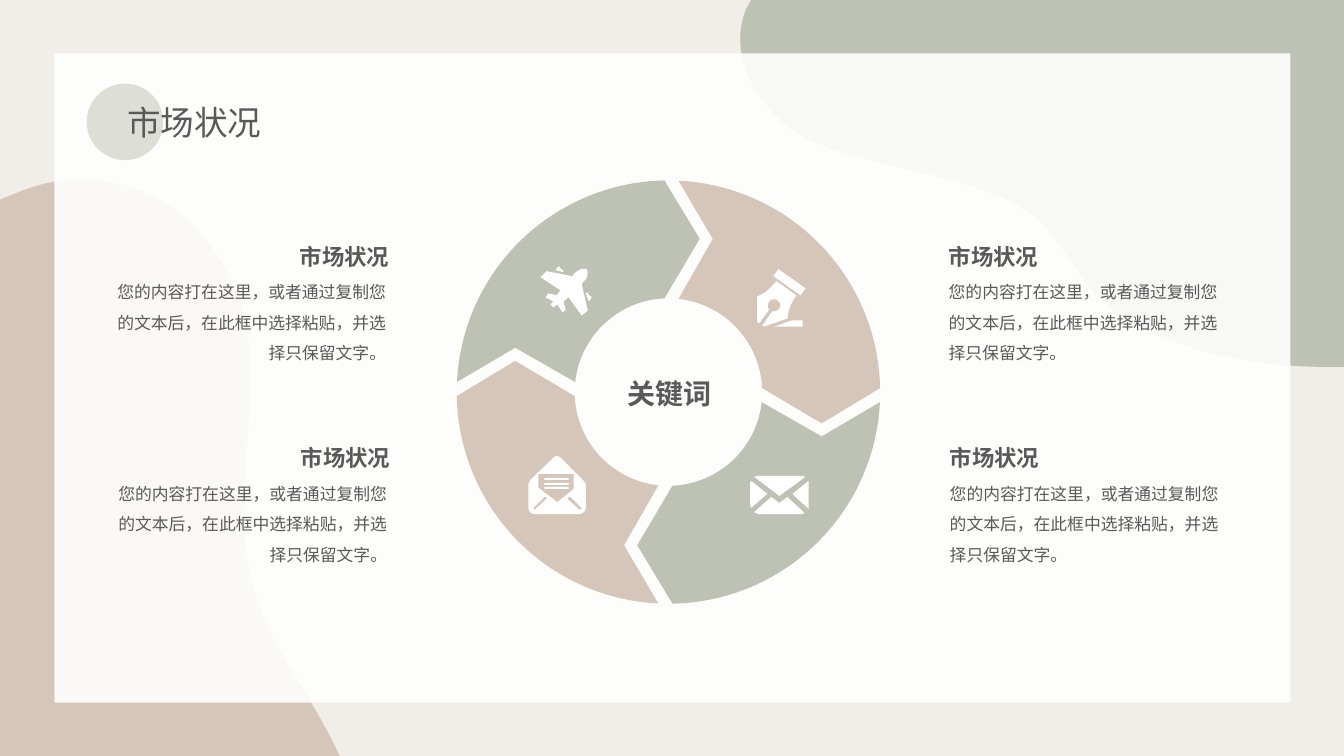
import math

import lxml.etree
import pptx
import pptx.dml.color
import pptx.enum.shapes
import pptx.enum.text
import pptx.oxml.ns
import pptx.util

Inches, Pt = pptx.util.Inches, pptx.util.Pt
ALIGN = pptx.enum.text.PP_ALIGN
ANCHOR = pptx.enum.text.MSO_ANCHOR
SHAPE = pptx.enum.shapes.MSO_SHAPE

FONT = "Noto Sans CJK SC"
CREAM, SAGE, SAND, WHITE, GREY = "F1EEE9", "BEC2B4", "D6C5B9", "FFFFFF", "595959"
HEADING = "市场状况"
BODY = "您的内容打在这里，或者通过复制您的文本后，在此框中选择粘贴，并选择只保留文字。"

# Outlines in inches: two numbers are a corner, six are a Bezier curve
SAGE_BLOB = [[(0.11, 0), (5.99, 0), (5.99, 3.64), (5.97, 3.64),
              (5.41, 3.65, 4.86, 3.59, 4.35, 3.41), (3.19, 3.01, 3.39, 2.39, 2.74, 2.03),
              (2.09, 1.67, 0.9, 1.63, 0.45, 1.24), (0.11, 0.95, -0.11, 0.51, 0.06, 0.09)]]
SAND_BLOB = [[(0.79, 0), (1.48, -0.02, 2.05, 0.42, 2.32, 1.06),
              (2.71, 1.99, 2.25, 2.93, 2.49, 3.96), (2.64, 4.6, 3.06, 5.05, 3.37, 5.72),
              (0, 5.72), (0, 0.2), (0.2, 0.12), (0.4, 0.04, 0.6, 0, 0.79, 0)]]
ENVELOPE = [
    [(0.04, 0.01), (0.08, 0), (0.51, 0), (0.55, 0.01), (0.29, 0.2)],
    [(0.58, 0.05), (0.42, 0.18), (0.58, 0.33)],
    [(0.54, 0.37), (0.51, 0.38), (0.08, 0.38), (0.04, 0.36), (0.21, 0.21),
     (0.29, 0.27), (0.37, 0.21)],
    [(0.01, 0.32), (0.17, 0.18), (0.01, 0.05), (0, 0.07), (0, 0.29)],
]
LETTER = [
    [(0.54, 0.24), (0.57, 0.28), (0.57, 0.51), (0.57, 0.55, 0.54, 0.58, 0.5, 0.58),
     (0.06, 0.58), (0.03, 0.58, 0, 0.55, 0, 0.51), (0, 0.28), (0.02, 0.24),
     (0.25, 0.02), (0.27, 0, 0.29, 0, 0.32, 0.02)],
    [(0.1, 0.18), (0.1, 0.32), (0.29, 0.46), (0.45, 0.33), (0.45, 0.18)],
    [(0.06, 0.54), (0.18, 0.43), (0.18, 0.41), (0.16, 0.41), (0.05, 0.52)],
    [(0.53, 0.52), (0.42, 0.41), (0.4, 0.41), (0.39, 0.43), (0.51, 0.54)],
] + [[(0.16, y), (0.16, y + 0.02), (0.4, y + 0.02), (0.4, y)] for y in (0.22, 0.27, 0.31)]
PLANE = [
    [(0.46, 0.03), (0.48, 0.09, 0.46, 0.13, 0.42, 0.16), (0.41, 0.18), (0.47, 0.44),
     (0.41, 0.49), (0.28, 0.31), (0.23, 0.35), (0.25, 0.43), (0.22, 0.46), (0.17, 0.38),
     (0.13, 0.41), (0.1, 0.38), (0.13, 0.35), (0.05, 0.31), (0.08, 0.27), (0.16, 0.29),
     (0.2, 0.24), (0, 0.11), (0.06, 0.05), (0.32, 0.1), (0.33, 0.08),
     (0.38, 0.03, 0.42, 0.02, 0.46, 0.03)],
    [(0.51, 0.31), (0.46, 0.26), (0.45, 0.27), (0.48, 0.35)],
    [(0.18, 0), (0.15, 0.04), (0.23, 0.06), (0.23, 0.05)],
]
PEN = [
    [(0.02, 0.54), (0, 0.52), (0, 0.27), (0.08, 0.24, 0.13, 0.19, 0.19, 0.12),
     (0.39, 0.26), (0.33, 0.34, 0.31, 0.41, 0.3, 0.49), (0.07, 0.57), (0.05, 0.56),
     (0.15, 0.42), (0.17, 0.42, 0.2, 0.42, 0.22, 0.39), (0.24, 0.37, 0.23, 0.33, 0.2, 0.31),
     (0.18, 0.29, 0.14, 0.3, 0.12, 0.32), (0.1, 0.35, 0.1, 0.38, 0.12, 0.4)],
    [(0.17, 0.57), (0.45, 0.57), (0.45, 0.51), (0.34, 0.51)],
    [(0.43, 0.26), (0.48, 0.19), (0.21, 0), (0.16, 0.07)],
]


def rgb(color):
    return pptx.dml.color.RGBColor.from_string(color)


def paint(sp, color, opacity=100):
    sp.shadow.inherit = False
    sp.line.fill.background()
    sp.fill.solid()
    sp.fill.fore_color.rgb = rgb(color)
    if opacity < 100:
        clr = sp.element.spPr.find(".//" + pptx.oxml.ns.qn("a:srgbClr"))
        alpha = lxml.etree.SubElement(clr, pptx.oxml.ns.qn("a:alpha"))
        alpha.set("val", str(opacity * 1000))


def flatten(outline, steps=16):
    """Turn corners and Bezier curves into a list of points."""
    points = []
    for part in outline:
        if len(part) == 2:
            points.append(part)
            continue
        curve = [points[-1], part[:2], part[2:4], part[4:]]
        for i in range(1, steps + 1):
            t = i / steps
            weights = [(1 - t) ** 3, 3 * t * (1 - t) ** 2, 3 * t * t * (1 - t), t ** 3]
            points.append(tuple(sum(w * c[k] for w, c in zip(weights, curve)) for k in (0, 1)))
    return points


def add_outline(s, x, y, outlines, color):
    builder = None
    for outline in outlines:
        points = [(Inches(x + px), Inches(y + py)) for px, py in flatten(outline)]
        if builder is None:
            builder = s.shapes.build_freeform(*points[0])
        else:
            builder.move_to(*points[0])
        builder.add_line_segments(points[1:], close=True)
    paint(builder.convert_to_shape(), color)


def add_run(tf, text, size, bold=False, align=ALIGN.LEFT, spacing=None):
    p = tf.paragraphs[0]
    p.alignment = align
    p.line_spacing = spacing
    r = p.add_run()
    r.text = text
    r.font.size, r.font.bold, r.font.name = Pt(size), bold, FONT
    r.font.color.rgb = rgb(GREY)
    ea = lxml.etree.SubElement(r.font._element, pptx.oxml.ns.qn("a:ea"))
    ea.set("typeface", FONT)


def add_text(s, x, y, w, h, text, size, **style):
    tf = s.shapes.add_textbox(Inches(x), Inches(y), Inches(w), Inches(h)).text_frame
    tf.word_wrap = True
    tf.margin_left = tf.margin_top = tf.margin_right = tf.margin_bottom = 0
    add_run(tf, text, size, **style)


def add_backdrop(s, w, h):
    s.background.fill.solid()
    s.background.fill.fore_color.rgb = rgb(CREAM)
    add_outline(s, w - 5.99, 0, SAGE_BLOB, SAGE)
    add_outline(s, 0, h - 5.72, SAND_BLOB, SAND)
    panel = s.shapes.add_shape(SHAPE.RECTANGLE, Inches(0.54), Inches(0.53),
                               Inches(w - 1.07), Inches(h - 1.06))
    paint(panel, WHITE, 90)


def add_title(s, x, y):
    dot = s.shapes.add_shape(SHAPE.OVAL, Inches(x), Inches(y), Inches(0.76), Inches(0.76))
    paint(dot, SAGE, 50)
    title = s.shapes.title
    title.left, title.top = Inches(x + 0.3), Inches(y + 0.13)
    title.width, title.height = Inches(1.55), Inches(0.5)
    tf = title.text_frame
    tf.auto_size = pptx.enum.text.MSO_AUTO_SIZE.NONE
    tf.word_wrap = False
    tf.vertical_anchor = ANCHOR.TOP
    add_run(tf, HEADING, 24)
    title.element.getparent().append(title.element)  # in front of the dot


def arc(radius, start, end, steps=40):
    """Points on a circle between the directions of two points."""
    a, b = (math.atan2(py, px) for px, py in (start, end))
    angles = [a + (b - a) * i / steps for i in range(steps + 1)]
    return [(radius * math.cos(t), radius * math.sin(t)) for t in angles]


def add_ring(s, cx, cy):
    # One quarter, turned clockwise in steps of 90 degrees
    quarter = (arc(2.1, (0.1, -2.1), (2.1, -0.04)) + [(1.52, 0.31)]
               + arc(0.93, (0.93, -0.04), (0.1, -0.93)) + [(0.44, -1.52)])
    for color in (SAND, SAGE, SAND, SAGE):
        add_outline(s, cx, cy, [quarter], color)
        quarter = [(-py, px) for px, py in quarter]
    add_text(s, cx - 0.53, cy - 0.15, 1.09, 0.34, "关键词", 20, bold=True, align=ALIGN.CENTER)
    for dx, dy, icon in ((0.81, 0.83, ENVELOPE), (-1.39, 0.63, LETTER),
                         (-1.27, -1.25, PLANE), (0.88, -1.22, PEN)):
        add_outline(s, cx + dx, cy + dy, icon, WHITE)


def add_note(s, x, y, align):
    """Heading over a paragraph, 2.67 inches wide."""
    heading_x = x + 1.61 if align == ALIGN.RIGHT else x
    add_text(s, heading_x, y, 1.09, 0.27, HEADING, 16, bold=True, align=align)
    add_text(s, x, y + 0.29, 2.67, 0.87, BODY, 12, align=align, spacing=1.5)


def main():
    prs = pptx.Presentation()
    prs.slide_width, prs.slide_height = Inches(13.33), Inches(7.5)
    s = prs.slides.add_slide(prs.slide_layouts[5])
    add_backdrop(s, 13.33, 7.5)
    add_ring(s, 6.63, 3.89)
    for x, align in ((9.41, ALIGN.LEFT), (1.16, ALIGN.RIGHT)):
        for row in range(2):
            add_note(s, x + 0.01 * row, 2.41 + 2 * row, align)
    add_title(s, 0.86, 0.83)
    prs.save("out.pptx")


if __name__ == "__main__":
    main()
